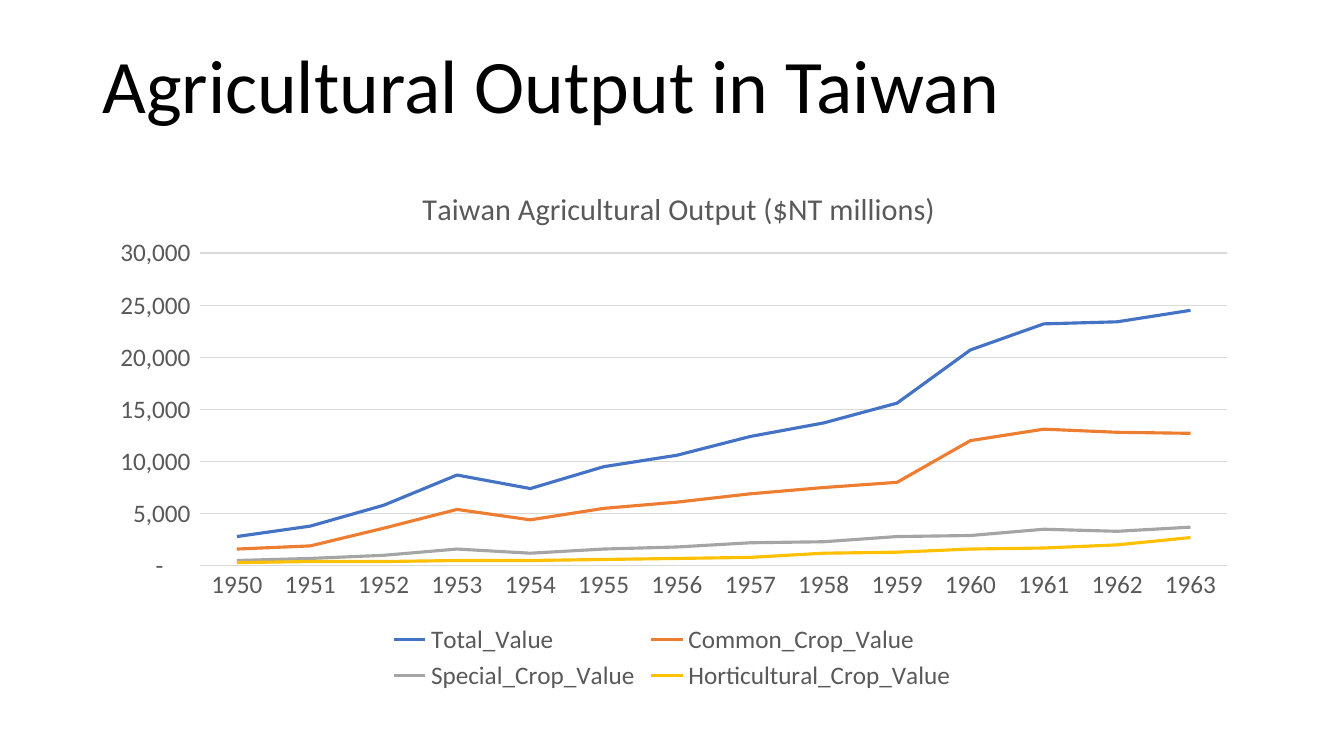
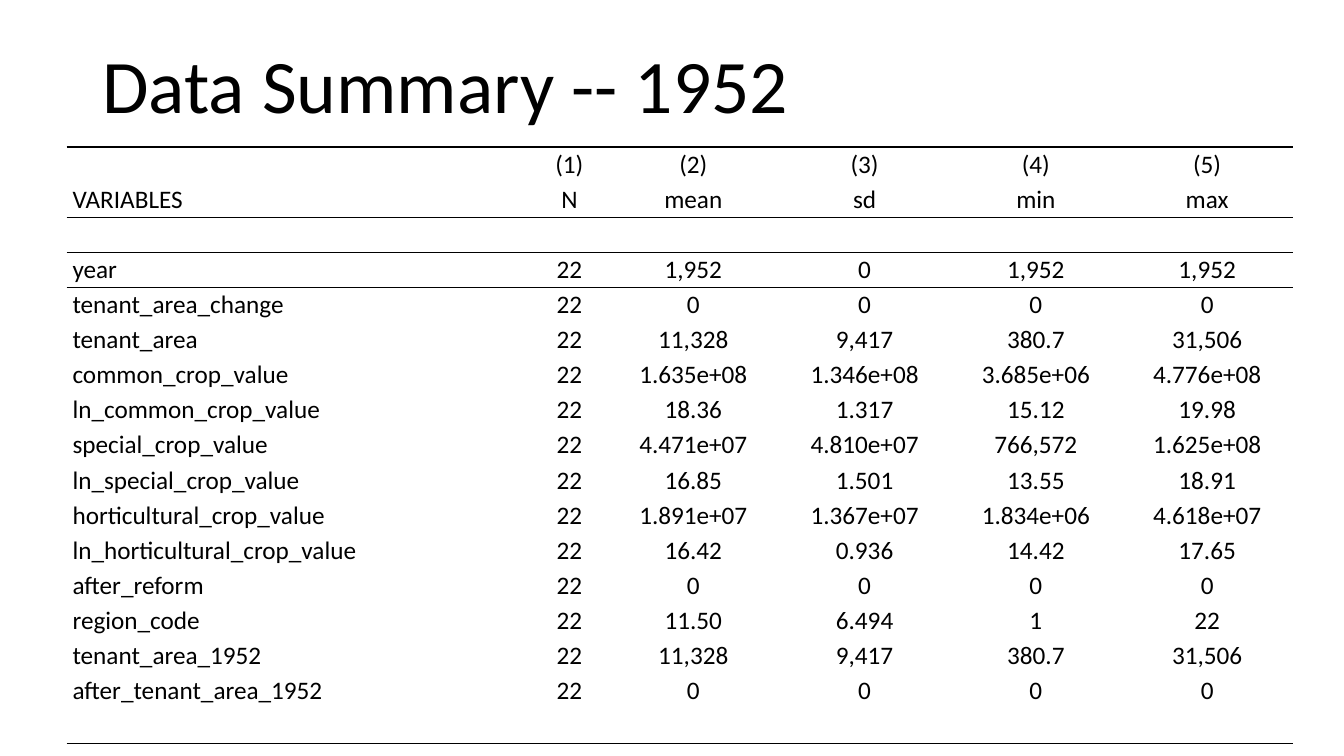
from lxml import etree
from pptx import Presentation, util as u
from pptx.chart import data as chart_data
from pptx.dml import color
from pptx.enum import chart as chart_enum, text
from pptx.oxml import ns

FONT = "Calibri"
INK, GREY, RULE = "000000", "595959", "D9D9D9"
GRID_COLUMNS, GRID_ROWS = 160, 90
WIDTH, HEIGHT = u.Inches(13.33), u.Inches(7.5)
TITLE_BOX = (11, 3.84, 138, 12.24)
CHART_BOX = (11, 18.48, 138, 64.32)
TABLE_BOX = (7.92, 17.52, 146, 71.04)
NO_GRID_STYLE = "{2D5ABB26-0587-4C30-8999-92F81FD0307C}"

YEARS = [str(year) for year in range(1950, 1964)]
OUTPUT = [
    ("Total_Value", "4472C4", (2800, 3800, 5800, 8700, 7400, 9500, 10600,
                               12400, 13700, 15600, 20700, 23200, 23400, 24500)),
    ("Common_Crop_Value", "ED7D31", (1600, 1900, 3600, 5400, 4400, 5500, 6100,
                                     6900, 7500, 8000, 12000, 13100, 12800, 12700)),
    ("Special_Crop_Value", "A5A5A5", (500, 700, 1000, 1600, 1200, 1600, 1800,
                                      2200, 2300, 2800, 2900, 3500, 3300, 3700)),
    ("Horticultural_Crop_Value", "FFC000", (300, 400, 400, 500, 500, 600, 700,
                                            800, 1200, 1300, 1600, 1700, 2000, 2700)),
]

COLUMN_SHARES = (4.61, 0.76, 1.7, 1.7, 1.7, 1.7)
BLANK = ("",) * len(COLUMN_SHARES)
SUMMARY = [
    ("", "(1)", "(2)", "(3)", "(4)", "(5)"),
    ("VARIABLES", "N", "mean", "sd", "min", "max"),
    BLANK,
    ("year", "22", "1,952", "0", "1,952", "1,952"),
    ("tenant_area_change", "22", "0", "0", "0", "0"),
    ("tenant_area", "22", "11,328", "9,417", "380.7", "31,506"),
    ("common_crop_value", "22", "1.635e+08", "1.346e+08", "3.685e+06", "4.776e+08"),
    ("ln_common_crop_value", "22", "18.36", "1.317", "15.12", "19.98"),
    ("special_crop_value", "22", "4.471e+07", "4.810e+07", "766,572", "1.625e+08"),
    ("ln_special_crop_value", "22", "16.85", "1.501", "13.55", "18.91"),
    ("horticultural_crop_value", "22", "1.891e+07", "1.367e+07", "1.834e+06", "4.618e+07"),
    ("ln_horticultural_crop_value", "22", "16.42", "0.936", "14.42", "17.65"),
    ("after_reform", "22", "0", "0", "0", "0"),
    ("region_code", "22", "11.50", "6.494", "1", "22"),
    ("tenant_area_1952", "22", "11,328", "9,417", "380.7", "31,506"),
    ("after_tenant_area_1952", "22", "0", "0", "0", "0"),
    BLANK,
]
RULED_EDGES = {0: 1.5, 2: 1, 3: 1, len(SUMMARY): 1}


def rgb(value):
    return color.RGBColor.from_string(value)


def assign(target, **values):
    for name, value in values.items():
        setattr(target, name, value)


def style_font(font, size, ink):
    assign(font, name=FONT, size=u.Pt(size), bold=False)
    font.color.rgb = rgb(ink)


def style_line(line, ink, width):
    line.color.rgb = rgb(ink)
    line.width = u.Pt(width)


def place(box):
    left, top, width, height = box
    column, row = WIDTH / GRID_COLUMNS, HEIGHT / GRID_ROWS
    return (round(left * column), round(top * row),
            round(width * column), round(height * row))


def titled_slide(deck, title):
    page = deck.slides.add_slide(deck.slide_layouts[5])
    shape = page.shapes.title
    assign(shape, **dict(zip(("left", "top", "width", "height"), place(TITLE_BOX))))
    frame = shape.text_frame
    assign(frame, text=title, word_wrap=True, auto_size=text.MSO_AUTO_SIZE.NONE,
           vertical_anchor=text.MSO_ANCHOR.BOTTOM)
    para = frame.paragraphs[0]
    assign(para, alignment=text.PP_ALIGN.LEFT, line_spacing=0.9)
    style_font(para.runs[0].font, 54, INK)
    return page


def fix_layout(element, before, **shares):
    for old in element.findall(ns.qn("c:layout")):
        element.remove(old)
    layout = etree.Element(ns.qn("c:layout"))
    manual = etree.SubElement(layout, ns.qn("c:manualLayout"))
    if "w" in shares:
        etree.SubElement(manual, ns.qn("c:layoutTarget")).set("val", "inner")
    for axis in ("x", "y"):
        etree.SubElement(manual, ns.qn(f"c:{axis}Mode")).set("val", "edge")
    for name, share in shares.items():
        etree.SubElement(manual, ns.qn(f"c:{name}")).set("val", str(share))
    element.find(ns.qn(before)).addprevious(layout)


def style_axis(axis):
    assign(axis, major_tick_mark=chart_enum.XL_TICK_MARK.NONE,
           minor_tick_mark=chart_enum.XL_TICK_MARK.NONE)
    style_font(axis.tick_labels.font, 18, GREY)


def output_chart(page, box):
    data = chart_data.CategoryChartData(number_format="#,##0")
    data.categories = YEARS
    for name, _, values in OUTPUT:
        data.add_series(name, values)
    chart = page.shapes.add_chart(chart_enum.XL_CHART_TYPE.LINE, *place(box), data).chart
    style_font(chart.font, 18, INK)

    chart.has_title = True
    frame = chart.chart_title.text_frame
    frame.text = "Taiwan Agricultural Output ($NT millions)"
    style_font(frame.paragraphs[0].runs[0].font, 21.6, GREY)
    chart.chart_title.include_in_layout = False
    fix_layout(chart.chart_title._element, "c:overlay", x=0.28, y=0.05)

    chart.has_legend = True
    assign(chart.legend, position=chart_enum.XL_LEGEND_POSITION.BOTTOM,
           include_in_layout=False)
    style_font(chart.legend.font, 18, GREY)

    years, amounts = chart.category_axis, chart.value_axis
    for axis in (years, amounts):
        style_axis(axis)
    style_line(years.format.line, RULE, 0.75)
    amounts.format.line.fill.background()
    assign(amounts, minimum_scale=0, maximum_scale=30000, major_unit=5000,
           has_major_gridlines=True)
    style_line(amounts.major_gridlines.format.line, RULE, 0.75)
    assign(amounts.tick_labels, number_format_is_linked=False,
           number_format='_(* #,##0_);_(* \\(#,##0\\);_(* "-"??_);_(@_)')

    plot = chart.plots[0]
    plot.vary_by_categories = False
    for series, (_, ink, _) in zip(plot.series, OUTPUT):
        series.smooth = False
        series.marker.style = chart_enum.XL_MARKER_STYLE.NONE
        style_line(series.format.line, ink, 2.25)
    fix_layout(chart._chartSpace.chart.plotArea, "c:lineChart",
               x=0.093, y=0.181, w=0.886, h=0.579)


def cell_borders(cell, **widths):
    for position, (side, width) in enumerate(widths.items()):
        line = etree.Element(ns.qn(f"a:ln{side}"), w=str(u.Pt(width)))
        fill = etree.SubElement(line, ns.qn("a:solidFill"))
        etree.SubElement(fill, ns.qn("a:srgbClr")).set("val", INK)
        cell._tc.get_or_add_tcPr().insert(position, line)


def fill_cell(cell, words, centred):
    assign(cell, margin_left=u.Inches(0.06), margin_right=u.Inches(0.06),
           margin_top=0, margin_bottom=0)
    cell.fill.background()
    para = cell.text_frame.paragraphs[0]
    assign(para, line_spacing=1.07,
           alignment=text.PP_ALIGN.CENTER if centred else text.PP_ALIGN.LEFT)
    if words:
        span = para.add_run()
        span.text = words
        style_font(span.font, 18, INK)


def summary_table(page, box):
    left, top, width, height = place(box)
    table = page.shapes.add_table(len(SUMMARY), len(COLUMN_SHARES),
                                  left, top, width, height).table
    assign(table, first_row=False, horz_banding=False)
    table._tbl.tblPr.find(ns.qn("a:tableStyleId")).text = NO_GRID_STYLE
    for column, share in zip(table.columns, COLUMN_SHARES):
        column.width = round(width * share / sum(COLUMN_SHARES))
    for index, (row, entries) in enumerate(zip(table.rows, SUMMARY)):
        row.height = round(height / len(SUMMARY))
        edges = {"T": index, "B": index + 1}
        borders = {side: RULED_EDGES[edge] for side, edge in edges.items()
                   if edge in RULED_EDGES}
        for number, (cell, words) in enumerate(zip(row.cells, entries)):
            fill_cell(cell, words, number > 0)
            cell_borders(cell, **borders)


def main():
    deck = Presentation()
    assign(deck, slide_width=WIDTH, slide_height=HEIGHT)
    output_chart(titled_slide(deck, "Agricultural Output in Taiwan"), CHART_BOX)
    summary_table(titled_slide(deck, "Data Summary -- 1952"), TABLE_BOX)
    deck.save("out.pptx")


if __name__ == "__main__":
    main()
